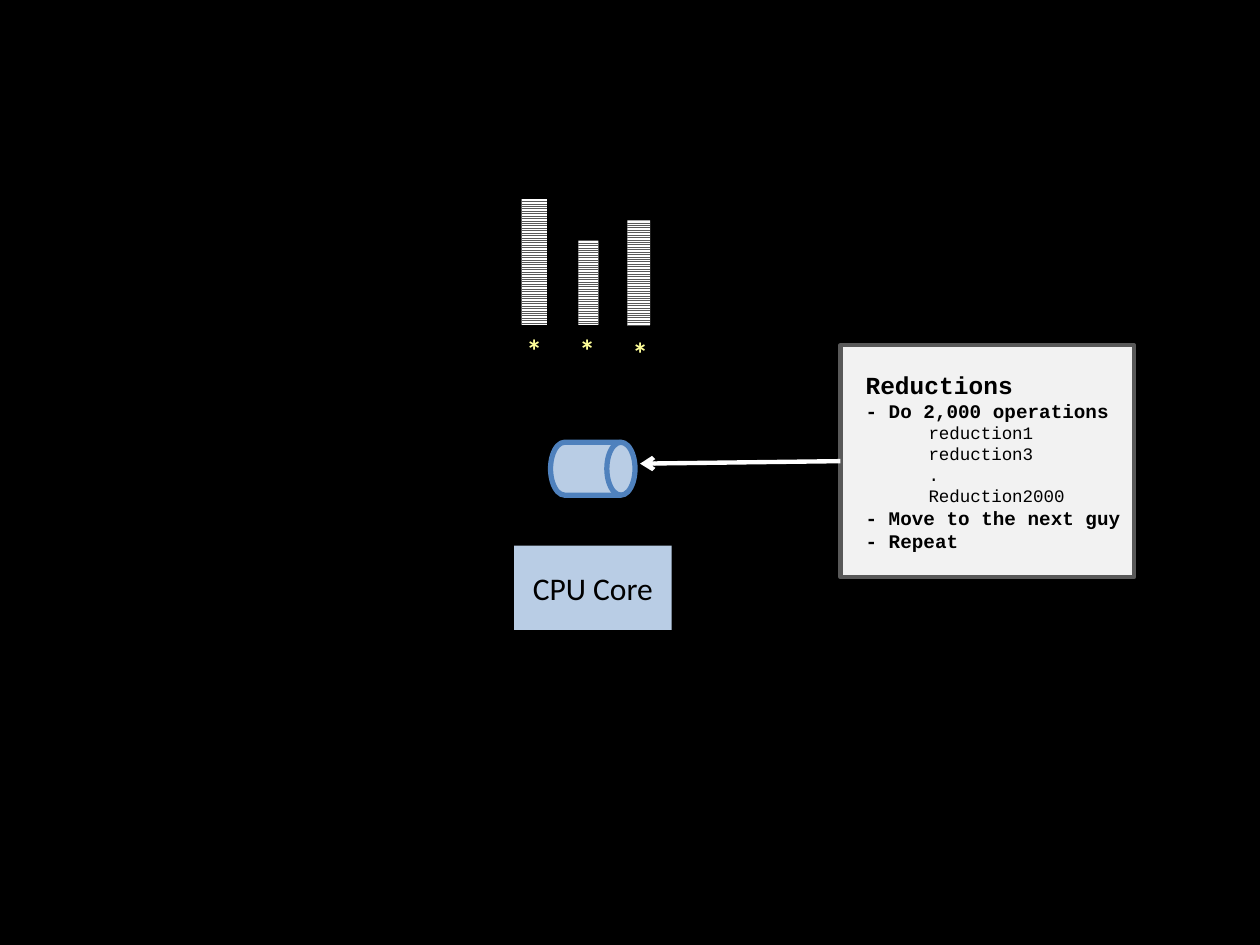
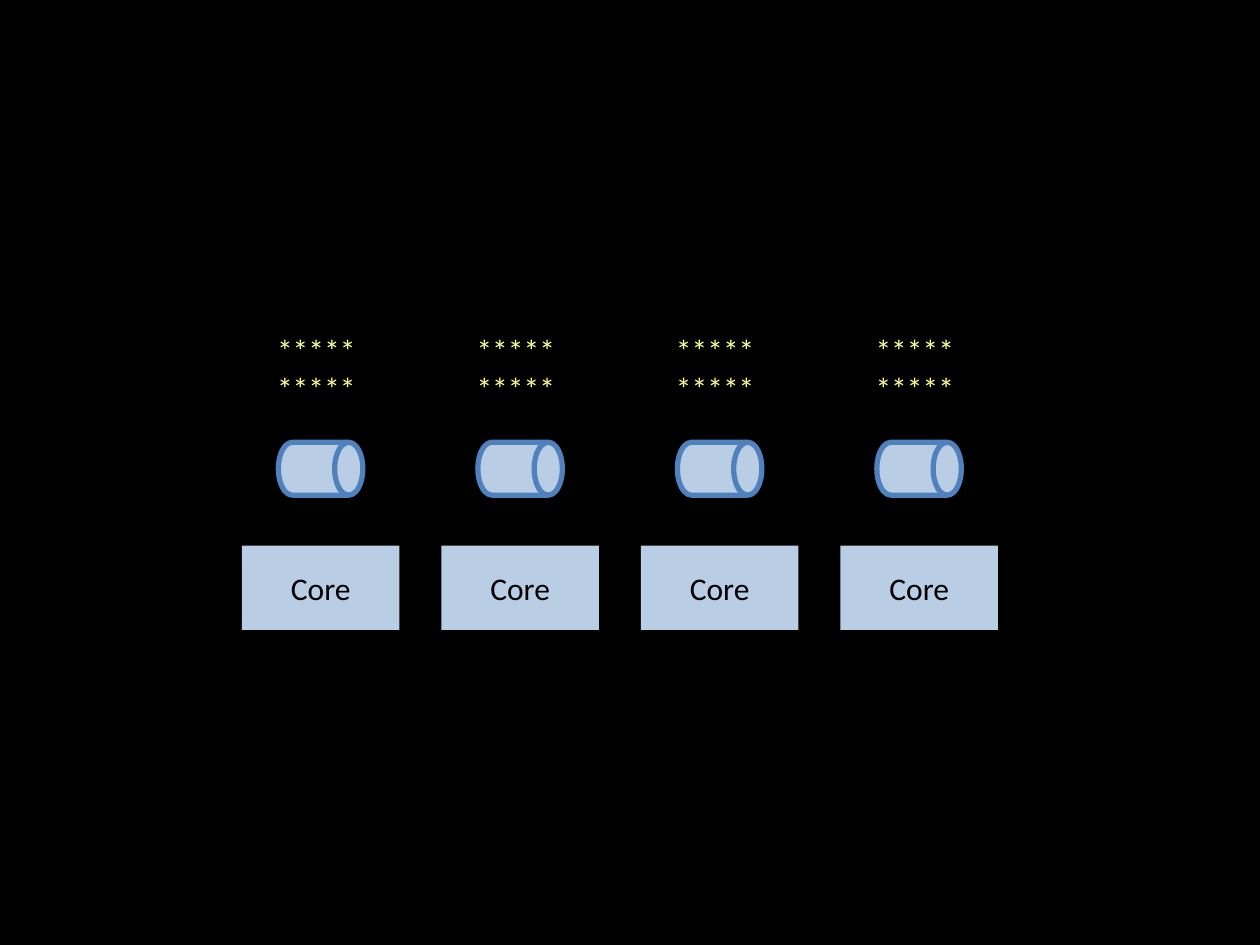
from lxml.etree import SubElement
from pptx import Presentation
from pptx.dml.color import RGBColor
from pptx.enum.dml import MSO_PATTERN
from pptx.enum.shapes import MSO_CONNECTOR, MSO_SHAPE
from pptx.enum.text import MSO_ANCHOR, MSO_AUTO_SIZE, PP_ALIGN
from pptx.oxml.ns import qn
from pptx.util import Inches, Pt

HEX = {
    "background": "000000",
    "text": "000000",
    "core": "B9CDE5",
    "drum line": "4F81BD",
    "process": "FFFF99",
    "panel": "F2F2F2",
    "dark gray": "595959",
    "white": "FFFFFF",
}
COLORS = {name: RGBColor.from_string(value) for name, value in HEX.items()}
BODY_FONT, CODE_FONT = "Calibri", "Courier New"
CORE_TOP, DRUM_TOP, PROCESS_TOP = 4.33, 3.51, 2.58


def add_core(page, left, label):
    """Draw a labelled core with its scheduler drum above it."""
    core = page.shapes.add_shape(
        MSO_SHAPE.RECTANGLE, Inches(left), Inches(CORE_TOP), Inches(1.25), Inches(0.67))
    core.line.fill.background()
    core.text_frame.text = label
    core.text_frame.vertical_anchor = MSO_ANCHOR.MIDDLE
    paragraph = core.text_frame.paragraphs[0]
    paragraph.alignment = PP_ALIGN.CENTER
    font = paragraph.runs[0].font
    font.name, font.size, font.color.rgb = BODY_FONT, Pt(18), COLORS["text"]

    drum = page.shapes.add_shape(
        MSO_SHAPE.FLOWCHART_DIRECT_ACCESS_STORAGE,
        Inches(left + 0.29), Inches(DRUM_TOP), Inches(0.67), Inches(0.42))
    drum.line.color.rgb = COLORS["drum line"]
    drum.line.width = Pt(3)
    for shape in (core, drum):
        shape.shadow.inherit = False
        shape.fill.solid()
        shape.fill.fore_color.rgb = COLORS["core"]


def add_processes(page, left, top, width, height, stars, bold=None):
    """Write processes as stars, one row per line of text."""
    box = page.shapes.add_textbox(Inches(left), Inches(top), Inches(width), Inches(height))
    box.text_frame.word_wrap = False
    box.text_frame.auto_size = MSO_AUTO_SIZE.SHAPE_TO_FIT_TEXT
    box.text_frame.text = stars
    for paragraph in box.text_frame.paragraphs:
        font = paragraph.runs[0].font
        font.name, font.size, font.bold = BODY_FONT, Pt(18), bold
        font.color.rgb = COLORS["process"]


deck = Presentation()
deck.slide_width, deck.slide_height = Inches(10), Inches(7.5)
pages = [deck.slides.add_slide(deck.slide_layouts[6]) for _ in range(2)]
for page in pages:
    page.background.fill.solid()
    page.background.fill.fore_color.rgb = COLORS["background"]
single_core_page, four_core_page = pages

# One core sharing its time between three processes
add_core(single_core_page, 4.08, "CPU Core")
for left, top in ((4.08, PROCESS_TOP), (4.5, PROCESS_TOP), (4.92, 2.6)):
    add_processes(single_core_page, left, top, 0.34, 0.4, "*", bold=True)

for left, width, height in ((4.14, 0.2, 1), (4.59, 0.16, 0.67), (4.98, 0.18, 0.83)):
    queue = single_core_page.shapes.add_shape(
        MSO_SHAPE.RECTANGLE, Inches(left), Inches(PROCESS_TOP - height),
        Inches(width), Inches(height))
    queue.shadow.inherit = False
    queue.line.fill.background()
    queue.fill.patterned()
    queue.fill.pattern = MSO_PATTERN.LIGHT_HORIZONTAL
    queue.fill.fore_color.rgb = COLORS["dark gray"]
    queue.fill.back_color.rgb = COLORS["white"]

panel = single_core_page.shapes.add_shape(
    MSO_SHAPE.FLOWCHART_PROCESS, Inches(6.67), Inches(2.74), Inches(2.33), Inches(1.84))
panel.shadow.inherit = False
panel.fill.solid()
panel.fill.fore_color.rgb = COLORS["panel"]
panel.line.color.rgb = COLORS["dark gray"]
panel.line.width = Pt(2.5)

reduction_lines = [
    # text, size, bold, level
    ("Reductions", 14, True, 0),
    ("- Do 2,000 operations", 11, True, 0),
    ("reduction1", 10, False, 1),
    ("reduction3", 10, False, 1),
    (".", 10, False, 1),
    ("Reduction2000", 10, False, 1),
    ("- Move to the next guy", 11, True, 0),
    ("- Repeat", 11, True, 0),
]
frame = panel.text_frame
frame.word_wrap = True
frame.vertical_anchor = MSO_ANCHOR.MIDDLE
frame.margin_left = Inches(0.2)
frame.text = "\n".join(line[0] for line in reduction_lines)
for paragraph, (_, size, bold, level) in zip(frame.paragraphs, reduction_lines):
    paragraph.alignment = PP_ALIGN.LEFT
    paragraph.level = level
    properties = paragraph._p.get_or_add_pPr()
    properties.set("marL", str(Inches(0.5 * level)))
    properties.set("indent", "0")
    font = paragraph.runs[0].font
    font.name, font.size, font.bold = CODE_FONT, Pt(size), bold
    font.color.rgb = COLORS["text"]

arrow = single_core_page.shapes.add_connector(
    MSO_CONNECTOR.STRAIGHT, Inches(6.67), Inches(3.66), Inches(5.08), Inches(3.68))
arrow.begin_connect(panel, 1)
arrow.line.color.rgb = COLORS["white"]
arrow.line.width = Pt(2.5)
SubElement(arrow.line._get_or_add_ln(), qn("a:tailEnd"), type="arrow")
SubElement(arrow._element.spPr, qn("a:effectLst"))

# Four cores, each with its own scheduler and processes
CORE_PITCH = 4.75 / 3
for index in range(4):
    left = 1.92 + index * CORE_PITCH
    add_core(four_core_page, left, "Core")
    add_processes(four_core_page, left + 0.18, PROCESS_TOP, 0.88, 0.71, "*****\n*****")

deck.save("out.pptx")
